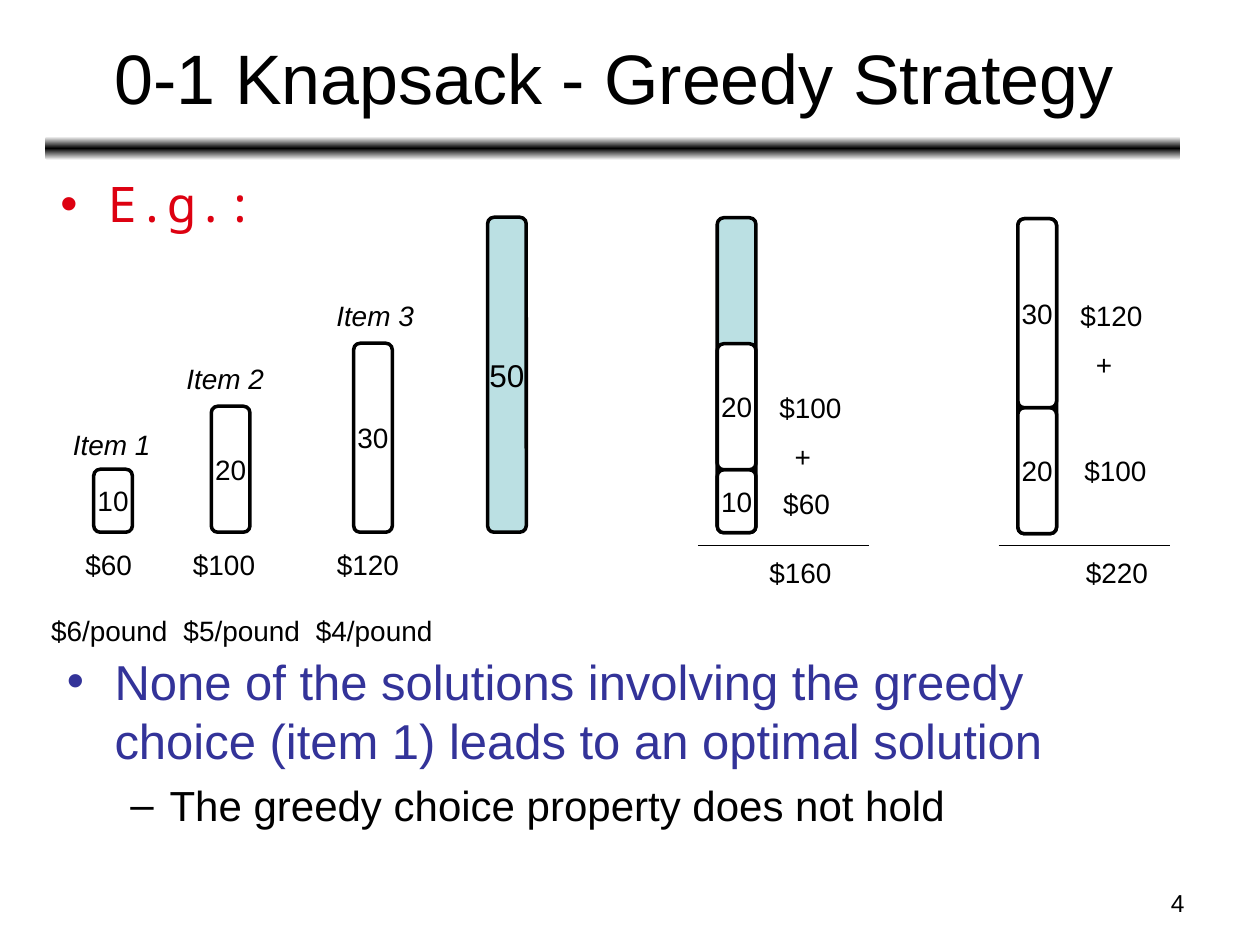
from copy import deepcopy

from lxml.etree import SubElement
from pptx import Presentation
from pptx.dml.color import RGBColor
from pptx.enum.shapes import MSO_CONNECTOR as Conn, MSO_SHAPE as Shape
from pptx.enum.text import MSO_ANCHOR as Anchor, MSO_AUTO_SIZE as Auto, PP_ALIGN as Align
from pptx.oxml.ns import qn
from pptx.util import Cm, Pt

HUE = {"black": "000000", "white": "FFFFFF", "sack": "BBE0E3", "red": "DD0111", "blue": "333399"}
TITLE = "0-1 Knapsack - Greedy Strategy"
PAGE = "4"

LEAD = [("E.g.:", 0, 28, "red", "Noto Sans Mono", 0)]
NOTES = [
    ("None of the solutions involving the greedy choice (item 1) leads to an optimal solution",
     0, 28, "blue", "Arial", 0),
    ("The greedy choice property does not hold", 1, 24, "black", "Arial", 6),
]
BULLETS = [("•", 0.96, -0.96), ("–", 2.07, -0.79)]

ITEMS = [
    (10, 1.89, "Item 1", 1.22, 8.5, "$60", 1.47, "$6/pound"),
    (20, 4.26, "Item 2", 3.51, 7.16, "$100", 3.64, "$5/pound"),
    (30, 7.13, "Item 3", 6.53, 5.89, "$120", 6.54, "$4/pound"),
]
SACKS = [
    (14.46, 10.74, (10, 20), "$160", 15.26,
     [("$60", 15.54, 9.68, False), ("$100", 15.46, 7.75, True)]),
    (20.52, 10.76, (20, 30), "$220", 21.64,
     [("$100", 21.61, 9.02, False), ("$120", 21.53, 5.89, True)]),
]
FULL = 50
FULL_X = 9.83
BASE = 10.73
UNIT = 0.127
WIDE = 0.78
SPANS = {3: 1.6, 4: 1.9, 6: 2.2, 8: 3}


def rgb(name):
    return RGBColor.from_string(HUE[name])


def style(run, **kw):
    look = {"name": "Arial", "size": Pt(16), **kw}
    run.font.color.rgb = rgb(look.pop("hue", "black"))
    for key, val in look.items():
        setattr(run.font, key, val)


def add_rule(slide):
    bar = slide.shapes.add_shape(Shape.ROUNDED_RECTANGLE, Cm(0.91), Cm(2.75), Cm(22.89), Cm(0.48))
    bar.shadow.inherit = False
    bar.line.fill.background()
    bar.fill.gradient()
    bar.fill.gradient_angle = 90
    first = bar.fill.gradient_stops[0]._gs
    first.addnext(deepcopy(first))
    for stop, pos, hue in zip(bar.fill.gradient_stops, (0, 0.5, 1), ("white", "black", "white")):
        stop.position = pos
        stop.color.rgb = rgb(hue)


def add_bar(slide, left, weight, base=BASE, hue="white", label=True, size=16):
    tall = weight * UNIT
    bar = slide.shapes.add_shape(
        Shape.ROUNDED_RECTANGLE, Cm(left), Cm(base - tall), Cm(WIDE), Cm(tall))
    bar.shadow.inherit = False
    bar.fill.solid()
    bar.fill.fore_color.rgb = rgb(hue)
    bar.line.color.rgb = rgb("black")
    bar.line.width = Pt(2)
    if label:
        frame = bar.text_frame
        frame.word_wrap = False
        frame.vertical_anchor = Anchor.MIDDLE
        para = frame.paragraphs[0]
        para.alignment = Align.CENTER
        run = para.add_run()
        run.text = str(weight)
        style(run, size=Pt(size))


def add_label(slide, text, left, top, plus=False, **kw):
    tall = 1.96 if plus else 0.94
    frame = slide.shapes.add_textbox(Cm(left), Cm(top), Cm(SPANS[len(text)]), Cm(tall)).text_frame
    frame.word_wrap = True
    run = frame.paragraphs[0].add_run()
    run.text = text
    style(run, **kw)
    if plus:
        para = frame.add_paragraph()
        para.space_before = Pt(9)
        para._p.get_or_add_pPr().set("marL", str(Cm(0.31)))
        run = para.add_run()
        run.text = "+"
        style(run)


def add_list(slide, rows, left, top, tall):
    frame = slide.shapes.add_textbox(Cm(left), Cm(top), Cm(22.86), Cm(tall)).text_frame
    frame.word_wrap = True
    for num, (text, level, size, hue, font, gap) in enumerate(rows):
        para = frame.add_paragraph() if num else frame.paragraphs[0]
        para.level = level
        para.space_before = Pt(gap)
        mark, edge, hang = BULLETS[level]
        props = para._p.get_or_add_pPr()
        props.set("marL", str(Cm(edge)))
        props.set("indent", str(Cm(hang)))
        SubElement(SubElement(props, qn("a:buClr")), qn("a:srgbClr")).set("val", HUE[hue])
        SubElement(props, qn("a:buFont")).set("typeface", "Arial")
        SubElement(props, qn("a:buChar")).set("char", mark)
        run = para.add_run()
        run.text = text
        style(run, name=font, size=Pt(size), hue=hue)


def add_title(slide):
    title = slide.shapes.title
    spot = {"left": 0.95, "top": 0.28, "width": 22.86, "height": 2.51}
    for key, val in spot.items():
        setattr(title, key, Cm(val))
    frame = title.text_frame
    frame.text = TITLE
    frame.auto_size = Auto.NONE
    frame.vertical_anchor = Anchor.MIDDLE
    frame.paragraphs[0].alignment = Align.CENTER
    style(frame.paragraphs[0].runs[0], size=Pt(40))


def add_page(slide):
    frame = slide.shapes.add_textbox(Cm(18.21), Cm(17.78), Cm(5.92), Cm(0.89)).text_frame
    frame.word_wrap = True
    para = frame.paragraphs[0]
    para.alignment = Align.RIGHT
    run = para.add_run()
    run.text = PAGE
    style(run, size=Pt(14))


def add_sack(slide, left, base, weights, total, total_x, prices):
    add_bar(slide, left, FULL, base, hue="sack", label=False)
    for num, weight in enumerate(weights):
        add_bar(slide, left, weight, base - sum(weights[:num]) * UNIT)
    for price in prices:
        add_label(slide, *price)
    start = left - 0.39
    line = slide.shapes.add_connector(Conn.STRAIGHT, Cm(start), Cm(11), Cm(start + 3.45), Cm(11))
    line.line.color.rgb = rgb("black")
    line.line.width = Pt(0.75)
    SubElement(line._element.spPr, qn("a:effectLst"))
    add_label(slide, total, total_x, 11.07)


def main():
    """Build the greedy knapsack slide."""
    deck = Presentation()
    deck.slide_width, deck.slide_height = Cm(25.4), Cm(19.05)
    slide = deck.slides.add_slide(deck.slide_layouts[5])
    add_rule(slide)
    add_title(slide)
    add_page(slide)
    add_list(slide, LEAD, 0.97, 3.38, 3)
    for num, (weight, left, name, name_x, name_y, price, price_x, rate) in enumerate(ITEMS):
        add_bar(slide, left, weight)
        add_label(slide, name, name_x, name_y, italic=True)
        add_label(slide, price, price_x, 10.92)
        add_label(slide, rate, 0.78 + num * 2.67, 12.24)
    add_bar(slide, FULL_X, FULL, hue="sack", size=18)
    for sack in SACKS:
        add_sack(slide, *sack)
    add_list(slide, NOTES, 1.1, 13.01, 5.21)
    deck.save("out.pptx")


if __name__ == "__main__":
    main()
